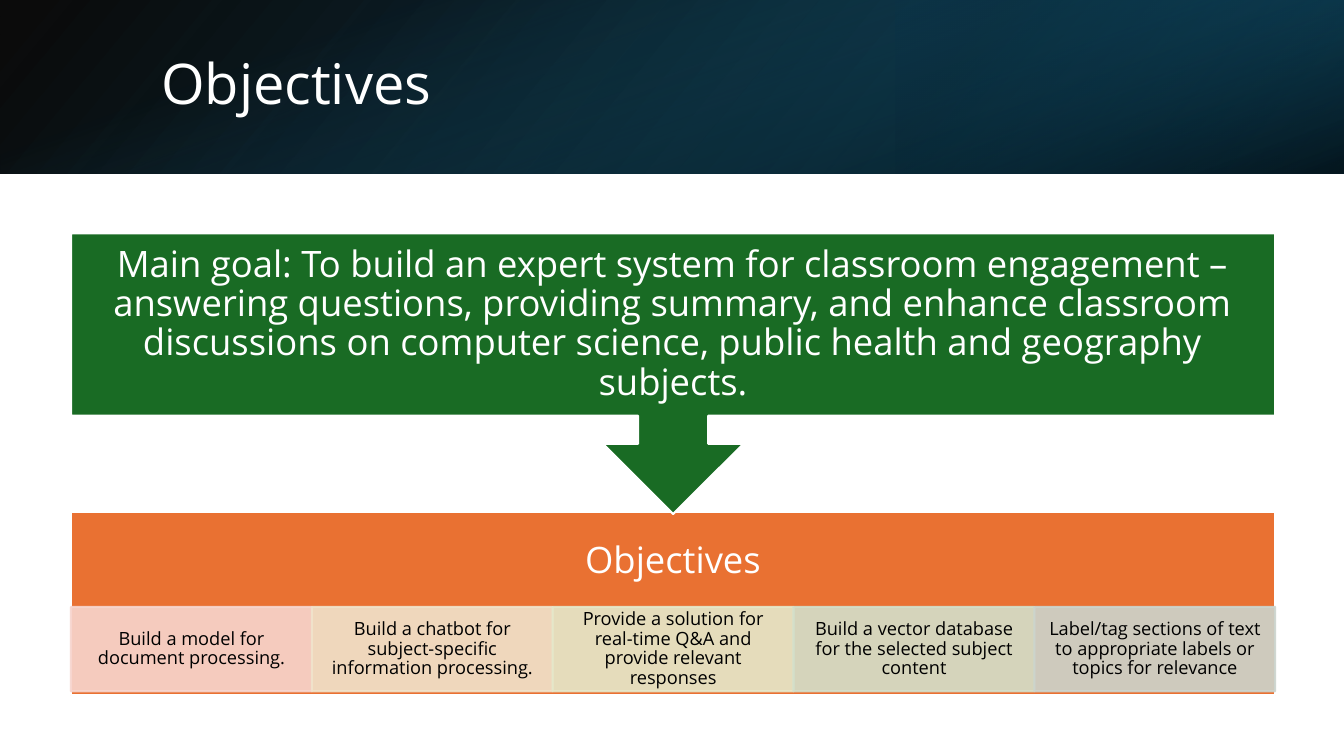
import pptx
import pptx.util
import pptx.dml.color
import pptx.enum.shapes
import pptx.enum.text
import pptx.oxml
import pptx.oxml.ns

Pt = pptx.util.Pt
SHAPE = pptx.enum.shapes.MSO_SHAPE
ALIGN = pptx.enum.text.PP_ALIGN
MIDDLE = pptx.enum.text.MSO_ANCHOR.MIDDLE
qn = pptx.oxml.ns.qn

TITLE = "Objectives"
GOAL = (
    "Main goal: To build an expert system for classroom engagement – "
    "answering questions, providing summary, and enhance classroom "
    "discussions on computer science, public health and geography subjects."
)
OBJECTIVES = [
    ("Build a model for document processing.", "F7D5CE"),
    ("Build a chatbot for subject-specific information processing.", "F0E3CB"),
    ("Provide a solution for real-time Q&A and provide relevant responses", "E5E8CA"),
    ("Build a vector database for the selected subject content", "D3DFCA"),
    ("Label/tag sections of text to appropriate labels or topics for relevance", "CCD4CD"),
]
COLORS = {"white": "FFFFFF", "black": "000000", "green": "196B24", "orange": "E97132"}
FONT = "Open Sans"

PAGE_W, PAGE_H = 960, 540
HEADER_H = 124
HEADER_LAYERS = [
    {"box": (0, 0, PAGE_W, HEADER_H), "rotation": 0, "flip": True, "angle": 140,
     "stops": [(0, "000000", 96), (100, "104862", 100)]},
    {"box": (PAGE_W * 2 / 3, 0, PAGE_W / 3, HEADER_H), "rotation": 180, "flip": True, "angle": 320,
     "stops": [(19, "0B3041", 68), (100, "156082", 79)]},
    {"box": ((PAGE_W - HEADER_H) / 2, (HEADER_H - PAGE_W) / 2, HEADER_H, PAGE_W),
     "rotation": 90, "flip": False, "angle": 340,
     "stops": [(23, "156082", 0), (99, "000000", 74)]},
]
LEFT, WIDTH = 50.7, 860.2
GOAL_TOP, GOAL_H, CALLOUT_H = 166.6, 130.2, 200.6
PANEL_TOP, PANEL_H, PANEL_TITLE_H = 366, 130.8, 70.6
CELL_TOP, CELL_H = 433.6, 60.2

deck = pptx.Presentation()
deck.slide_width, deck.slide_height = Pt(PAGE_W), Pt(PAGE_H)
page = deck.slides.add_slide(deck.slide_layouts[5])


def rgb(value):
    return pptx.dml.color.RGBColor.from_string(value)


def points(values):
    return [Pt(value) for value in values]


def set_opacity(color_format, percent):
    color = color_format._xFill.find(qn("a:srgbClr"))
    alpha = color.makeelement(qn("a:alpha"), {"val": str(percent * 1000)})
    color.append(alpha)


def add_block(kind, box, fill, line, opacity=100):
    block = page.shapes.add_shape(kind, *points(box))
    block.shadow.inherit = False
    block.fill.solid()
    block.fill.fore_color.rgb = rgb(fill)
    block.line.fill.solid()
    block.line.color.rgb = rgb(line)
    block.line.width = Pt(1.5)
    if opacity < 100:
        set_opacity(block.fill.fore_color, opacity)
        set_opacity(block.line.color, opacity)
    return block


def add_header_layer(layer):
    block = page.shapes.add_shape(SHAPE.RECTANGLE, *points(layer["box"]))
    block.shadow.inherit = False
    block.line.fill.background()
    block.rotation = layer["rotation"]
    properties = block.element.spPr
    if layer["flip"]:
        properties.find(qn("a:xfrm")).set("flipH", "1")
    stops = "".join(
        f'<a:gs pos="{place * 1000}"><a:srgbClr val="{color}">'
        f'<a:alpha val="{opacity * 1000}"/></a:srgbClr></a:gs>'
        for place, color, opacity in layer["stops"]
    )
    gradient = pptx.oxml.parse_xml(
        f'<a:gradFill {pptx.oxml.ns.nsdecls("a")} rotWithShape="1"><a:gsLst>{stops}</a:gsLst>'
        f'<a:lin ang="{layer["angle"] * 60000}" scaled="0"/></a:gradFill>'
    )
    properties.find(qn("a:prstGeom")).addnext(gradient)


def write(shape, text, size, color, insets, align=ALIGN.CENTER):
    frame = shape.text_frame
    frame.word_wrap = True
    frame.auto_size = pptx.enum.text.MSO_AUTO_SIZE.NONE
    frame.vertical_anchor = MIDDLE
    frame.margin_left = frame.margin_right = Pt(insets[0])
    frame.margin_top = frame.margin_bottom = Pt(insets[1])
    para = frame.paragraphs[0]
    para.text = text
    para.alignment = align
    para.line_spacing = 0.9
    para.font.size = Pt(size)
    para.font.name = FONT
    para.font.color.rgb = rgb(color)


def add_label(box, text):
    label = page.shapes.add_textbox(*points(box))
    write(label, text, 26, COLORS["white"], (14.4, 14.4))


for layer in HEADER_LAYERS:
    add_header_layer(layer)

title = page.shapes.title
title.left, title.top, title.width, title.height = points((108, 27.4, 790.6, 69))
write(title, TITLE, 40, COLORS["white"], (7.2, 3.6), ALIGN.LEFT)
title.element.getparent().append(title.element)

add_block(SHAPE.RECTANGLE, (LEFT, PANEL_TOP, WIDTH, PANEL_H), COLORS["orange"], COLORS["white"])
add_label((LEFT, PANEL_TOP, WIDTH, PANEL_TITLE_H), TITLE)

cell_w = WIDTH / len(OBJECTIVES)
for index, (text, color) in enumerate(OBJECTIVES):
    box = (LEFT + index * cell_w, CELL_TOP, cell_w, CELL_H)
    cell = add_block(SHAPE.RECTANGLE, box, color, color, opacity=90)
    write(cell, text, 13, COLORS["black"], (7.2, 1.4))

callout = add_block(SHAPE.UP_ARROW_CALLOUT, (LEFT, GOAL_TOP, WIDTH, CALLOUT_H),
                    COLORS["green"], COLORS["white"])
callout.rotation = 180
add_label((LEFT, GOAL_TOP, WIDTH, GOAL_H), GOAL)

deck.save("out.pptx")
